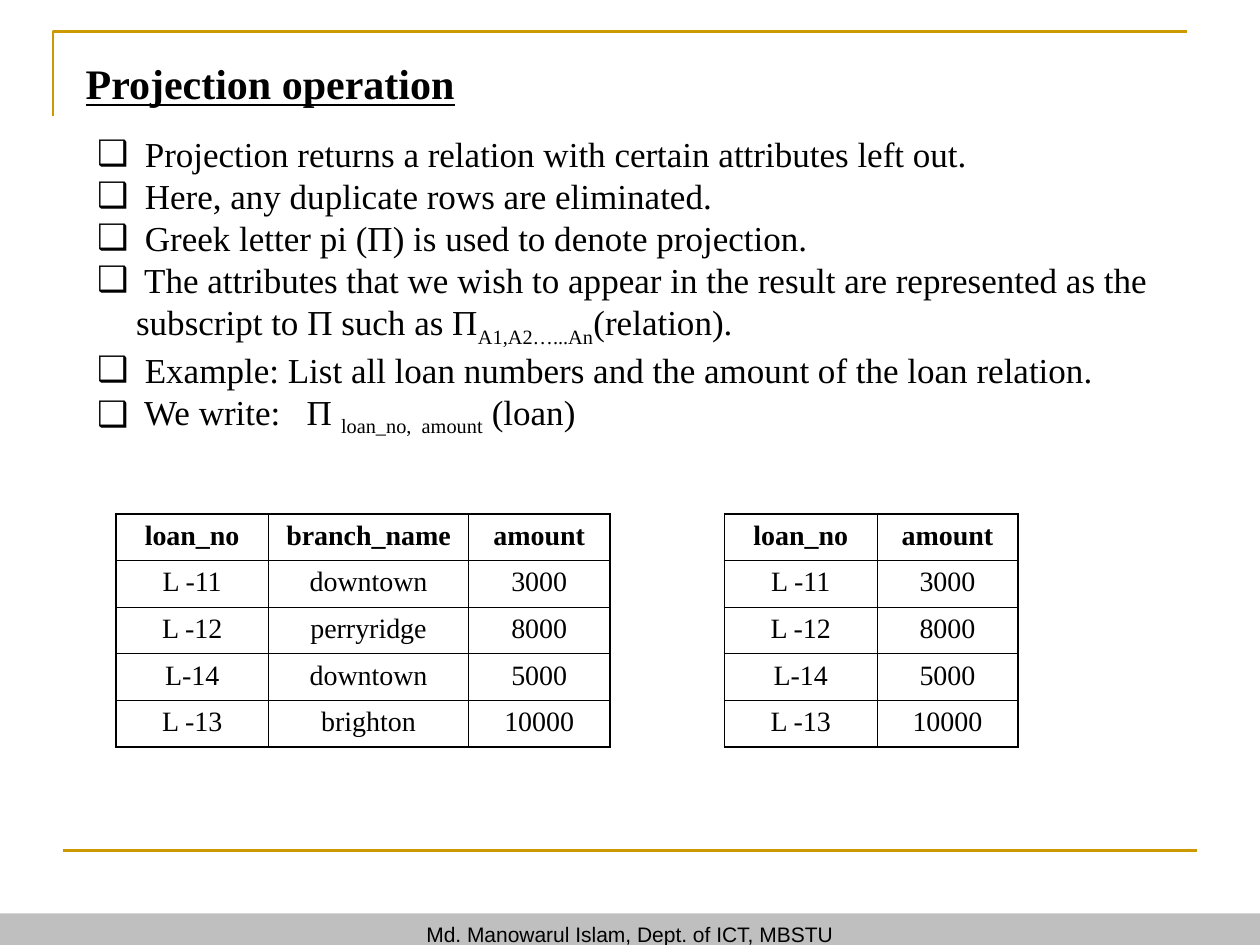
from lxml.etree import SubElement as Sub
from pptx import Presentation
from pptx.dml.color import RGBColor
from pptx.enum.shapes import MSO_CONNECTOR as Link, MSO_SHAPE as Shape
from pptx.enum.text import MSO_ANCHOR as Anchor, MSO_AUTO_SIZE as Fit, PP_ALIGN as Align
from pptx.oxml.ns import qn
from pptx.util import Inches, Pt


def tint(code):
    return RGBColor.from_string(code)


class Deck:
    """Style and current slide, with one method for each kind of element."""

    serif, sans = "Times New Roman", "Arial"
    ink, gold, grey = "000000", "CC9900", "BFBFBF"
    thin, thick = 0.45, 1.08

    def __init__(self, wide, high):
        self.show = Presentation()
        self.show.slide_width, self.show.slide_height = Inches(wide), Inches(high)
        self.slide = self.show.slides.add_slide(self.show.slide_layouts[1])
        self.shapes = self.slide.shapes

    def style(self, para, size, align=Align.LEFT, face=serif, bold=False, under=False):
        para.alignment = align
        para.space_before = Pt(0)
        font = para.font
        font.name, font.size, font.bold, font.underline = face, Pt(size), bold, under
        font.color.rgb = tint(self.ink)

    def place(self, shape, left, top, width, height):
        shape.left, shape.top = Inches(left), Inches(top)
        shape.width, shape.height = Inches(width), Inches(height)
        frame = shape.text_frame
        frame.auto_size, frame.word_wrap = Fit.NONE, True
        frame.vertical_anchor = Anchor.TOP
        return frame

    def stroke(self, line):
        line.color.rgb = tint(self.gold)
        line.width = Pt(1.5)

    def corner(self, *points):
        spots = [(Inches(x), Inches(y)) for x, y in points]
        pen = self.shapes.build_freeform(*spots[0])
        pen.add_line_segments(spots[1:], close=False)
        shape = pen.convert_to_shape()
        shape.shadow.inherit = False
        shape.fill.background()
        self.stroke(shape.line)

    def rule(self, left, right, top):
        line = self.shapes.add_connector(
            Link.STRAIGHT, Inches(left), Inches(top), Inches(right), Inches(top))
        Sub(line._element.spPr, qn("a:effectLst"))
        self.stroke(line.line)

    def band(self, text, *box):
        shape = self.shapes.add_shape(Shape.RECTANGLE, *map(Inches, box))
        shape.shadow.inherit = False
        shape.fill.solid()
        shape.fill.fore_color.rgb = tint(self.grey)
        shape.line.fill.background()
        para = shape.text_frame.paragraphs[0]
        para.text = text
        self.style(para, 12, Align.CENTER, self.sans)

    def title(self, text, *box):
        frame = self.place(self.shapes.title, *box)
        frame.text = text
        self.style(frame.paragraphs[0], 24, bold=True, under=True)

    def bullet(self, para):
        props = para._p.get_or_add_pPr()
        props.set("marL", str(Inches(0.31)))
        props.set("indent", str(-Inches(0.31)))
        Sub(Sub(props, qn("a:buClr")), qn("a:srgbClr"), val=self.ink)
        Sub(props, qn("a:buFont"), typeface=self.sans)
        Sub(props, qn("a:buChar"), char="❑")

    def points(self, items, *box):
        frame = self.place(self.slide.placeholders[1], *box)
        for i, item in enumerate(items):
            para = frame.add_paragraph() if i else frame.paragraphs[0]
            self.bullet(para)
            for j, part in enumerate(item.split("|")):
                run = para.add_run()
                run.text = part
                if j % 2:
                    run._r.get_or_add_rPr().set("baseline", "-25000")
            self.style(para, 20)

    def edge(self, cell, side, width):
        line = Sub(cell._tc.get_or_add_tcPr(), qn("a:ln" + side), w=str(Pt(width)))
        Sub(Sub(line, qn("a:solidFill")), qn("a:srgbClr"), val=self.ink)

    def table(self, rows, left, top, widths, tall):
        deep, span = len(rows), len(widths)
        grid = self.shapes.add_table(
            deep, span, Inches(left), Inches(top),
            Inches(sum(widths)), Inches(tall * deep)).table
        grid.first_row = grid.horz_banding = False
        for col, width in zip(grid.columns, widths):
            col.width = Inches(width)
        for i, row in enumerate(rows):
            for j, text in enumerate(row):
                cell = grid.cell(i, j)
                rim = {"L": j == 0, "R": j == span - 1, "T": i == 0, "B": i == deep - 1}
                for side, outer in rim.items():
                    self.edge(cell, side, self.thick if outer else self.thin)
                cell.fill.background()
                cell.text = text
                self.style(cell.text_frame.paragraphs[0], 16, Align.CENTER, bold=i == 0)


def main():
    deck = Deck(10, 7.5)
    deck.corner((0.42, 0.92), (0.42, 0.25), (9.42, 0.25))
    deck.rule(0.5, 9.5, 6.75)
    deck.band("Md. Manowarul Islam, Dept. of ICT, MBSTU", 0, 7.25, 10, 0.33)
    deck.points([
        " Projection returns a relation with certain attributes left out.",
        " Here, any duplicate rows are eliminated.",
        " Greek letter pi (Π) is used to denote projection.",
        " The attributes that we wish to appear in the result are represented as the "
        "subscript to Π such as Π|A1,A2…...An|(relation).",
        " Example: List all loan numbers and the amount of the loan relation.",
        " We write:   Π |loan_no,  amount| (loan)",
    ], 0.67, 1, 9.33, 3.2)
    deck.title("Projection operation", 0.58, 0.41, 4.17, 0.5)
    loans = [
        ("loan_no", "branch_name", "amount"),
        ("L -11", "downtown", "3000"),
        ("L -12", "perryridge", "8000"),
        ("L-14", "downtown", "5000"),
        ("L -13", "brighton", "10000"),
    ]
    deck.table(loans, 0.92, 4.08, (1.21, 1.59, 1.12), 0.37)
    deck.table([(loan, sum_) for loan, _, sum_ in loans], 5.75, 4.08, (1.21, 1.12), 0.37)
    deck.show.save("out.pptx")


if __name__ == "__main__":
    main()
